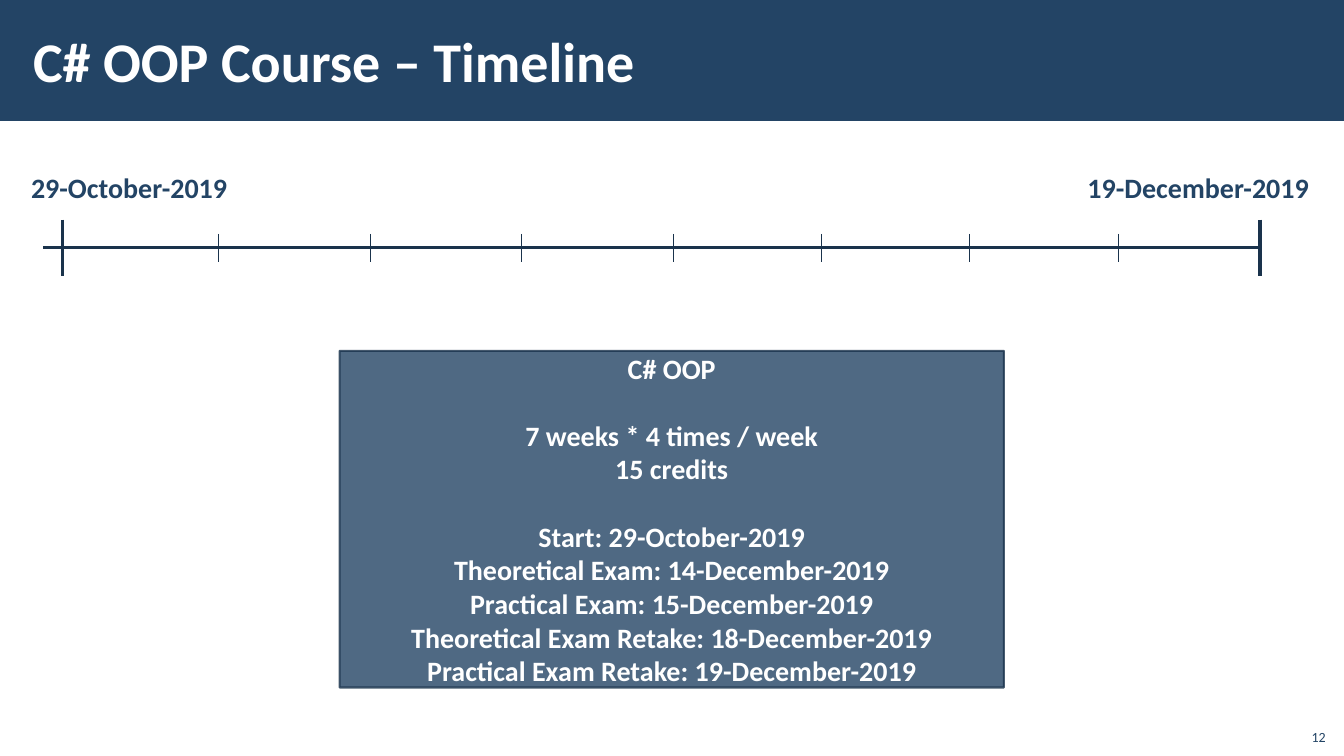
import pptx
import pptx.util
import pptx.dml.color
import pptx.enum.shapes
import pptx.enum.text
import pptx.oxml.ns
import lxml.etree

Pt = pptx.util.Pt
RGB = pptx.dml.color.RGBColor
ALIGN = pptx.enum.text.PP_ALIGN
ANCHOR = pptx.enum.text.MSO_ANCHOR
qn = pptx.oxml.ns.qn

# Content
TITLE = "C# OOP Course – Timeline"
START, END = "29-October-2019", "19-December-2019"
GROUPS = [
    ["C# OOP"],
    ["7 weeks * 4 times / week", "15 credits"],
    ["Start: 29-October-2019",
     "Theoretical Exam: 14-December-2019",
     "Practical Exam: 15-December-2019",
     "Theoretical Exam Retake: 18-December-2019",
     "Practical Exam Retake: 19-December-2019"],
]
NUMBER = "12"

# Look
FONT = "Calibri"
NAVY = RGB(0x23, 0x44, 0x65)
DARK = RGB(0x1A, 0x33, 0x4C)
WHITE = RGB(0xFF, 0xFF, 0xFF)
WIDE, HIGH = 960, 540

# Time axis: (x, half height, line width) of each mark
AXIS_Y, AXIS_X, LAST_X = 177.1, 31, 900
WEEKS = [156.2, 264.2, 372.2, 481, 586.8, 692.6, 798.5]
MARKS = [(44.6, 20.2, 2.25), (LAST_X, 20.2, 2.25)]
MARKS += [(x, 10.1, 0.5) for x in WEEKS]

deck = pptx.Presentation()
deck.slide_width, deck.slide_height = Pt(WIDE), Pt(HIGH)
slide = deck.slides.add_slide(deck.slide_layouts[6])
shapes = slide.shapes


def add_rect(left, top, width, height, fill):
    rect = shapes.add_shape(pptx.enum.shapes.MSO_SHAPE.RECTANGLE,
                            Pt(left), Pt(top), Pt(width), Pt(height))
    rect.shadow.inherit = False
    rect.fill.solid()
    rect.fill.fore_color.rgb = fill
    return rect


def add_run(para, text, size, color, bold=True):
    run = para.add_run()
    run.text = text
    font = run.font
    font.name, font.size, font.bold = FONT, Pt(size), bold
    font.color.rgb = color


def add_text(box, text, size, color, bold=True, wrap=True,
             anchor=ANCHOR.TOP, align=ALIGN.LEFT):
    frame = shapes.add_textbox(*[Pt(n) for n in box]).text_frame
    frame.word_wrap = wrap
    frame.vertical_anchor = anchor
    para = frame.paragraphs[0]
    para.alignment = align
    add_run(para, text, size, color, bold)
    return frame


def add_line(x1, y1, x2, y2, width):
    line = shapes.add_connector(pptx.enum.shapes.MSO_CONNECTOR.STRAIGHT,
                                Pt(x1), Pt(y1), Pt(x2), Pt(y2))
    line.line.color.rgb = DARK
    line.line.width = Pt(width)
    lxml.etree.SubElement(line._element.spPr, qn("a:effectLst"))


# Title band
add_rect(0, 0, WIDE, 86.4, NAVY).line.fill.background()
head = add_text((15.1, 7.9, 765.4, 69.8), TITLE, 40, WHITE,
                anchor=ANCHOR.MIDDLE)
head.margin_left = head.margin_right = Pt(8.5)

# Date labels
for left, width, date in [(15.1, 156.2, START), (769.7, 174.2, END)]:
    add_text((left, 118.1, width, 31.7), date, 20, NAVY, wrap=False)

# Course panel, slightly see-through
panel = add_rect(242.6, 250.6, 474.5, 240.5, NAVY)
panel.line.color.rgb = DARK
panel.line.width = Pt(1.5)
for tint in panel._element.spPr.iter(qn("a:srgbClr")):
    lxml.etree.SubElement(tint, qn("a:alpha")).set("val", "80000")
frame = panel.text_frame
frame.word_wrap = True
frame.vertical_anchor = ANCHOR.MIDDLE
for g, group in enumerate(GROUPS):
    for i, text in enumerate(group):
        first = g == 0 and i == 0
        para = frame.paragraphs[0] if first else frame.add_paragraph()
        para.alignment = ALIGN.CENTER
        if g and i == 0:
            para.space_before = Pt(24)
        add_run(para, text, 20, WHITE)

# Time axis and marks
add_line(AXIS_X, AXIS_Y, LAST_X, AXIS_Y, 2.25)
for x, half, width in MARKS:
    add_line(x, AXIS_Y - half, x, AXIS_Y + half, width)

# Slide number
add_text((925.2, 512.6, 28.8, 23), NUMBER, 10, NAVY, bold=False,
         anchor=ANCHOR.BOTTOM, align=ALIGN.RIGHT)

deck.save("out.pptx")
